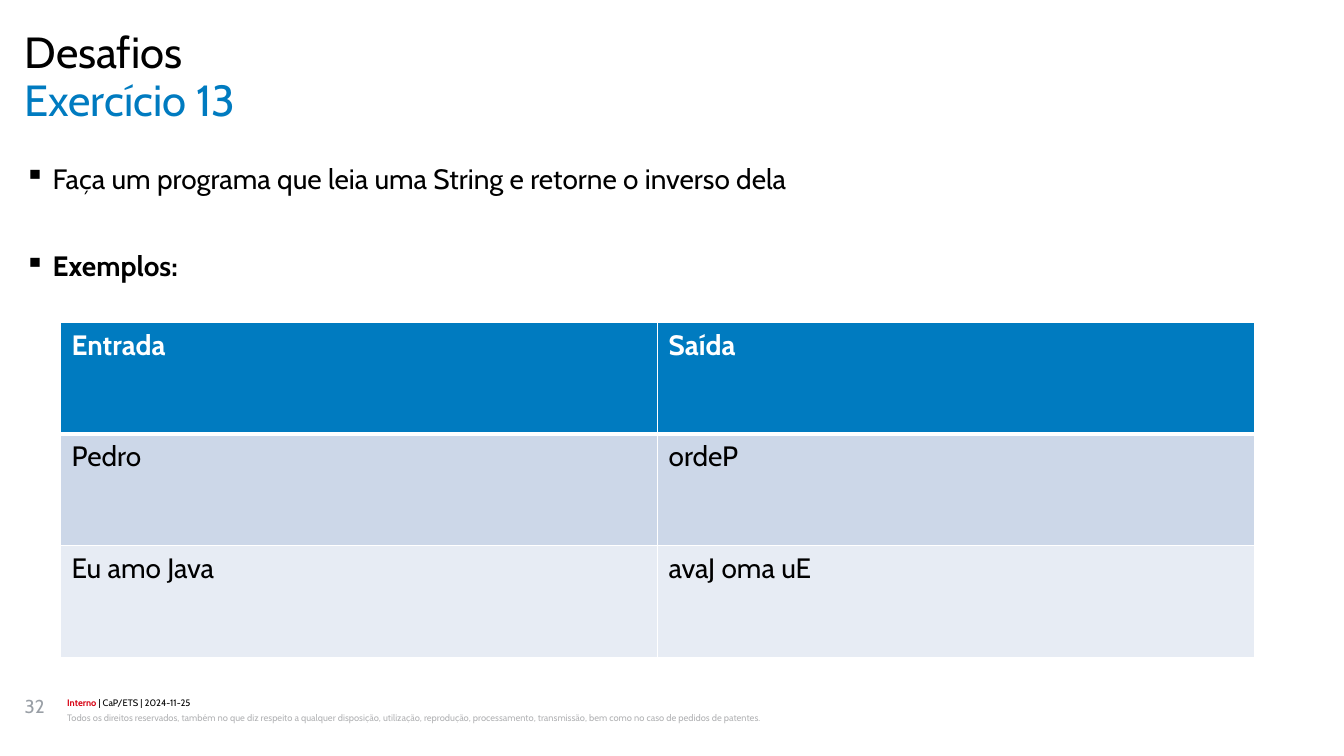
from lxml.etree import SubElement
from pptx import Presentation
from pptx.dml.color import RGBColor
from pptx.enum.text import MSO_ANCHOR as Anchor, MSO_AUTO_SIZE as AutoSize, PP_ALIGN as Align
from pptx.oxml.ns import qn
from pptx.util import Inches, Pt

BLUE = RGBColor(0x00, 0x7B, 0xC0)
RED = RGBColor(0xD7, 0x00, 0x12)
BLACK = RGBColor(0x00, 0x00, 0x00)
WHITE = RGBColor(0xFF, 0xFF, 0xFF)
GRAY = RGBColor(0x99, 0x9F, 0xA6)
LIGHT_GRAY = RGBColor(0xB2, 0xB3, 0xB5)
ROW_DARK = RGBColor(0xCC, 0xD7, 0xE8)
ROW_LIGHT = RGBColor(0xE7, 0xEC, 0xF4)


def add_run(paragraph, text, size=18, color=BLACK, bold=False, font="Cabin"):
    run = paragraph.add_run()
    run.text = text
    run.font.name = font
    run.font.size = Pt(size)
    run.font.bold = bold
    run.font.color.rgb = color


def add_bullet(paragraph, character="▪", indent=0.25):
    properties = paragraph._p.get_or_add_pPr()
    properties.set("marL", str(Inches(indent)))
    properties.set("indent", str(-Inches(indent)))
    SubElement(properties, qn("a:buChar"), char=character)


def set_borders(cell, bottom_width):
    properties = cell._tc.get_or_add_tcPr()
    for side, width in (("L", 1), ("R", 1), ("T", 1), ("B", bottom_width)):
        line = SubElement(properties, qn(f"a:ln{side}"), w=str(Pt(width)))
        fill = SubElement(line, qn("a:solidFill"))
        SubElement(fill, qn("a:srgbClr"), val=str(WHITE))


class SlideBuilder:
    def __init__(self, presentation):
        self.slide = presentation.slides.add_slide(presentation.slide_layouts[5])

    def prepare_frame(self, shape):
        frame = shape.text_frame
        frame.word_wrap = True
        frame.auto_size = AutoSize.NONE
        frame.vertical_anchor = Anchor.TOP
        frame.margin_left = frame.margin_right = 0
        frame.margin_top = frame.margin_bottom = 0
        return frame

    def title(self, text, left, top, width, height):
        shape = self.slide.shapes.title
        shape.left, shape.top = Inches(left), Inches(top)
        shape.width, shape.height = Inches(width), Inches(height)
        paragraph = self.prepare_frame(shape).paragraphs[0]
        paragraph.alignment = Align.LEFT
        paragraph.line_spacing = 0.89
        add_run(paragraph, text, size=28, color=BLUE)

    def text_box(self, left, top, width, height):
        box = self.slide.shapes.add_textbox(
            Inches(left), Inches(top), Inches(width), Inches(height))
        return self.prepare_frame(box)

    def line(self, text, *place, spacing=1.0, **text_format):
        paragraph = self.text_box(*place).paragraphs[0]
        paragraph.line_spacing = spacing
        add_run(paragraph, text, **text_format)
        return paragraph

    def bullets(self, items, *place, gap):
        frame = self.text_box(*place)
        for index, (text, bold) in enumerate(items):
            paragraph = frame.add_paragraph() if index else frame.paragraphs[0]
            add_bullet(paragraph)
            paragraph.line_spacing = 1.07
            paragraph.space_before = Pt(gap if index else 0)
            add_run(paragraph, text, bold=bold)

    def table(self, rows, left, top, width, height):
        table = self.slide.shapes.add_table(
            len(rows), len(rows[0]), Inches(left), Inches(top),
            Inches(width), Inches(height)).table
        for row_index, row in enumerate(rows):
            header = row_index == 0
            row_fill = BLUE if header else ROW_DARK if row_index % 2 else ROW_LIGHT
            for column_index, text in enumerate(row):
                cell = table.cell(row_index, column_index)
                set_borders(cell, bottom_width=3 if header else 1)
                cell.fill.solid()
                cell.fill.fore_color.rgb = row_fill
                add_run(cell.text_frame.paragraphs[0], text,
                        color=WHITE if header else BLACK, bold=header)


def main():
    presentation = Presentation()
    presentation.slide_width = Inches(12)
    presentation.slide_height = Inches(6.75)
    builder = SlideBuilder(presentation)

    # Heading
    builder.line("Desafios", 0.22, 0.28, 11.55, 0.43, spacing=0.89, size=28)
    builder.title("Exercício 13", 0.22, 0.71, 11.55, 0.43)

    # Task and examples
    builder.bullets(
        [("Faça um programa que leia uma String e retorne o inverso dela", False),
         ("Exemplos:", True)],
        0.22, 1.42, 11.55, 1.17, gap=33)
    builder.table(
        [("Entrada", "Saída"), ("Pedro", "ordeP"), ("Eu amo Java", "avaJ oma uE")],
        0.54, 2.88, 10.66, 2.99)

    # Footer
    builder.line("32", 0.22, 6.2, 0.32, 0.45, size=12, color=GRAY)
    classification = builder.line("Interno", 0.6, 6.22, 9.98, 0.12,
                                  spacing=1.07, size=6, color=RED, bold=True)
    add_run(classification, " | CaP/ETS | 2024-11-25", size=6)
    builder.line(
        "Todos os direitos reservados, também no que diz respeito a qualquer "
        "disposição, utilização, reprodução, processamento, transmissão, "
        "bem como no caso de pedidos de patentes.",
        0.6, 6.34, 9.98, 0.24, spacing=1.2, size=6, color=LIGHT_GRAY)

    presentation.save("out.pptx")


if __name__ == "__main__":
    main()
